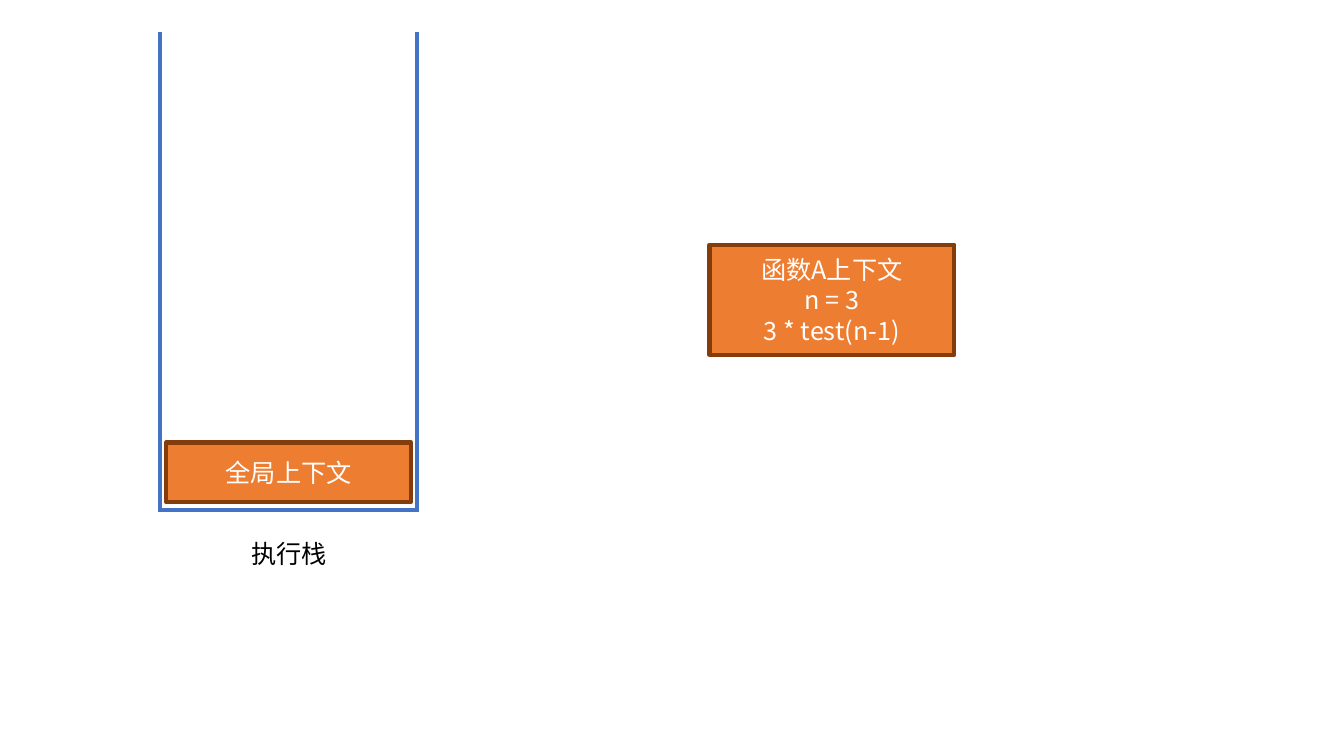
from lxml import etree
from pptx import Presentation
from pptx import util as u
from pptx.dml.color import RGBColor
from pptx.enum import shapes, text
from pptx.oxml.ns import qn

BLUE = RGBColor(0x44, 0x72, 0xC4)
ORANGE = RGBColor(0xED, 0x7D, 0x31)
BROWN = RGBColor(0x84, 0x3C, 0x0B)
WHITE = RGBColor(0xFF, 0xFF, 0xFF)
BLACK = RGBColor(0, 0, 0)
FONT = "Noto Sans CJK SC"


def write(frame, wording, color):
    """Put centred 18 pt wording into a text frame."""
    frame.word_wrap = True
    frame.text = wording
    for paragraph in frame.paragraphs:
        paragraph.alignment = text.PP_ALIGN.CENTER
        for run in paragraph.runs:
            run.font.size = u.Pt(18)
            run.font.name = FONT
            run.font.color.rgb = color
            east_asian = etree.SubElement(run.font._element, qn("a:ea"))
            east_asian.set("typeface", FONT)


deck = Presentation()
deck.slide_width, deck.slide_height = u.Cm(33.87), u.Cm(19.05)
slide = deck.slides.add_slide(deck.slide_layouts[6])

# Open-topped stack: left wall, floor, right wall
left, right, top, floor = 4.03, 10.5, 0.81, 12.86
stack_edges = [
    (left, top, left, floor + 0.05),
    (left, floor, right + 0.05, floor),
    (right, top, right, floor + 0.05),
]
for edge in stack_edges:
    wall = slide.shapes.add_connector(
        shapes.MSO_CONNECTOR.STRAIGHT, *[u.Cm(value) for value in edge])
    wall.line.color.rgb = BLUE
    wall.line.width = u.Pt(3)
    etree.SubElement(wall._element.spPr, qn("a:effectLst"))

stack_label = slide.shapes.add_textbox(u.Cm(4.09), u.Cm(13.44), u.Cm(6.4), u.Cm(1.32))
write(stack_label.text_frame, "执行栈", BLACK)

# Execution contexts: left, top, height, wording
contexts = [
    (4.19, 11.15, 1.5, "全局上下文"),
    (17.88, 6.17, 2.77, "函数A上下文\nn = 3\n3 * test(n-1)"),
]
for x, y, height, wording in contexts:
    context = slide.shapes.add_shape(
        shapes.MSO_SHAPE.RECTANGLE, u.Cm(x), u.Cm(y), u.Cm(6.17), u.Cm(height))
    context.shadow.inherit = False
    context.fill.solid()
    context.fill.fore_color.rgb = ORANGE
    context.line.color.rgb = BROWN
    context.line.width = u.Pt(3)
    context.text_frame.vertical_anchor = text.MSO_ANCHOR.MIDDLE
    write(context.text_frame, wording, WHITE)

deck.save("out.pptx")
